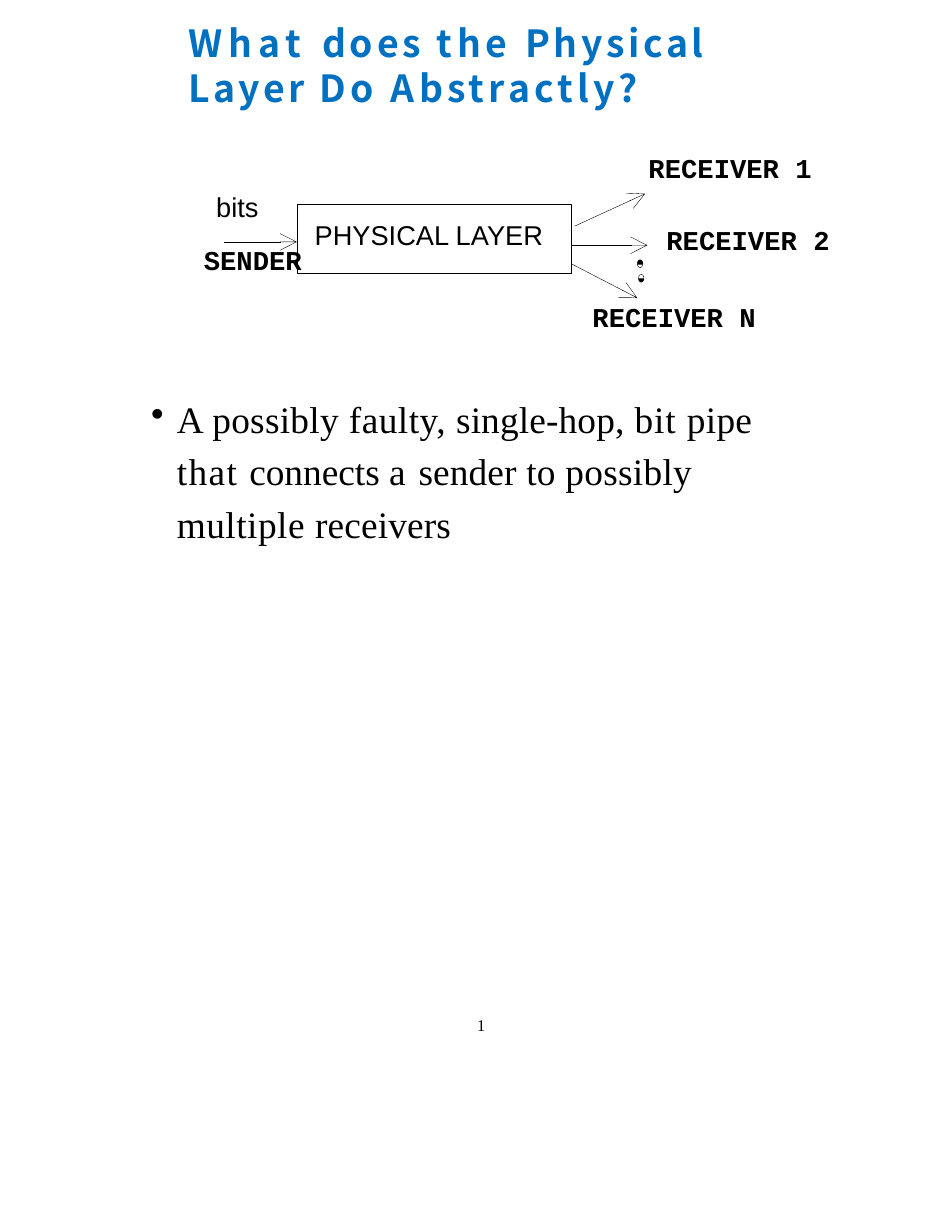
from typing import NamedTuple

from lxml import etree
from pptx import Presentation
from pptx.dml.color import RGBColor
from pptx.enum.shapes import MSO_CONNECTOR, MSO_SHAPE
from pptx.oxml.ns import qn
from pptx.util import Inches, Pt

STRAIGHT = MSO_CONNECTOR.STRAIGHT
RECTANGLE = MSO_SHAPE.RECTANGLE
OVAL = MSO_SHAPE.OVAL
CHORD = MSO_SHAPE.CHORD

BLACK = "000000"
BLUE = "0070C0"
LINE_WIDTH = Pt(0.25)
DEGREE = 0.6  # one degree in the unit of a shape adjustment


class Span(NamedTuple):
    text: str
    spacing: float = 0


class Label(NamedTuple):
    text: str
    left: float
    top: float
    width: float
    font: str
    bold: bool


class Arrow(NamedTuple):
    x1: float
    y1: float
    x2: float
    y2: float


class Dot(NamedTuple):
    left: float
    top: float
    start_angle: int
    end_angle: int


TITLE = [
    Span("What ", 3.9), Span("does ", 2.4), Span("the ", 3), Span("Physical ", 2.3),
    Span("Layer ", 2.2), Span("Do Abstractly?", 2.7),
]
BODY = [
    Span("A ", 0.4), Span("possibly ", 0.2), Span("faulty, ", 0.3), Span("single-hop, ", 0.1),
    Span("bit ", 0.6), Span("pipe ", 0.2), Span("that ", 0.9), Span("connects "),
    Span("a ", 1.1), Span("sender to ", 0.1), Span("possibly ", 0.2),
    Span("multiple ", 0.3), Span("receivers", 0.1),
]
LABELS = [
    Label("SENDER", 1.82, 2.17, 0.91, "Courier New", True),
    Label("RECEIVER 1", 5.79, 1.35, 1.49, "Courier New", True),
    Label("RECEIVER 2", 5.95, 1.99, 1.49, "Courier New", True),
    Label("RECEIVER N", 5.29, 2.68, 1.49, "Courier New", True),
    Label("bits", 1.93, 1.7, 0.41, "Arial", False),
    Label("PHYSICAL LAYER", 2.81, 1.95, 2.1, "Arial", False),
]
ARROWS = [
    Arrow(2, 2.16, 2.65, 2.16),
    Arrow(5.13, 2.02, 5.76, 1.73),
    Arrow(5.11, 2.19, 5.78, 2.19),
    Arrow(5.11, 2.36, 5.69, 2.66),
]
DOTS = [Dot(5.69, 2.32, 160, 20), Dot(5.7, 2.45, 0, 180)]


def color(value: str) -> RGBColor:
    return RGBColor.from_string(value)


def add_text(page, spans: list[Span], left: float, top: float, width: float, height: float,
             *, font: str, size: float, fill: str = BLACK, bold: bool = False,
             wrap: bool = True, line_spacing=None, bullet: str = "", indent: float = 0):
    box = page.shapes.add_textbox(Inches(left), Inches(top), Inches(width), Inches(height))
    frame = box.text_frame
    frame.margin_left = frame.margin_top = frame.margin_right = frame.margin_bottom = 0
    frame.word_wrap = wrap
    para = frame.paragraphs[0]
    if line_spacing is not None:
        para.line_spacing = line_spacing
    if bullet:
        properties = para._p.get_or_add_pPr()
        properties.set("marL", str(Inches(indent)))
        properties.set("indent", str(-Inches(indent)))
        etree.SubElement(properties, qn("a:buChar")).set("char", bullet)
    for span in spans:
        run = para.add_run()
        run.text = span.text
        run.font.name = font
        run.font.size = Pt(size)
        run.font.bold = bold
        run.font.color.rgb = color(fill)
        if span.spacing:
            run._r.get_or_add_rPr().set("spc", str(round(span.spacing * 100)))


def add_figure(page, kind, left: float, top: float, width: float, height: float,
               *, filled: bool = False):
    """Add a solid black shape, or an outlined one without a fill."""
    shape = page.shapes.add_shape(kind, Inches(left), Inches(top), Inches(width), Inches(height))
    shape.shadow.inherit = False
    if filled:
        shape.fill.solid()
        shape.fill.fore_color.rgb = color(BLACK)
        shape.line.fill.background()
    else:
        shape.fill.background()
        shape.line.color.rgb = color(BLACK)
        shape.line.width = LINE_WIDTH
    return shape


def add_arrow(page, arrow: Arrow):
    connector = page.shapes.add_connector(STRAIGHT, *(Inches(value) for value in arrow))
    connector.line.color.rgb = color(BLACK)
    connector.line.width = LINE_WIDTH
    head = etree.SubElement(connector.line._get_or_add_ln(), qn("a:tailEnd"))
    for name, value in (("type", "arrow"), ("w", "lg"), ("len", "lg")):
        head.set(name, value)
    etree.SubElement(connector._element.spPr, qn("a:effectLst"))


def add_dot(page, dot: Dot):
    """Add a small circle that is partly filled between two angles."""
    half = add_figure(page, CHORD, dot.left, dot.top, 0.05, 0.07, filled=True)
    half.adjustments[0] = dot.start_angle * DEGREE
    half.adjustments[1] = dot.end_angle * DEGREE
    add_figure(page, OVAL, dot.left, dot.top, 0.05, 0.07)


def main():
    deck = Presentation()
    deck.slide_width, deck.slide_height = Inches(8.5), Inches(11)
    page = deck.slides.add_slide(deck.slide_layouts[6])

    add_text(page, TITLE, 1.68, 0.18, 5.58, 0.85,
             font="Noto Sans CJK TC", size=24, fill=BLUE, bold=True)
    add_figure(page, RECTANGLE, 2.65, 1.82, 2.45, 0.62)
    for arrow in ARROWS:
        add_arrow(page, arrow)
    for dot in DOTS:
        add_dot(page, dot)
    for label in LABELS:
        add_text(page, [Span(label.text)], label.left, label.top, label.width, 0.31,
                 font=label.font, size=17.5, bold=label.bold, wrap=False)
    add_text(page, BODY, 1.35, 3.47, 5.6, 1.42, font="Times New Roman", size=24,
             line_spacing=1.17, bullet="•", indent=0.23)
    add_text(page, [Span("1", -0.1)], 4.26, 9.07, 0.13, 0.18,
             font="Times New Roman", size=10.5, line_spacing=Pt(12.3))

    deck.save("out.pptx")


if __name__ == "__main__":
    main()
